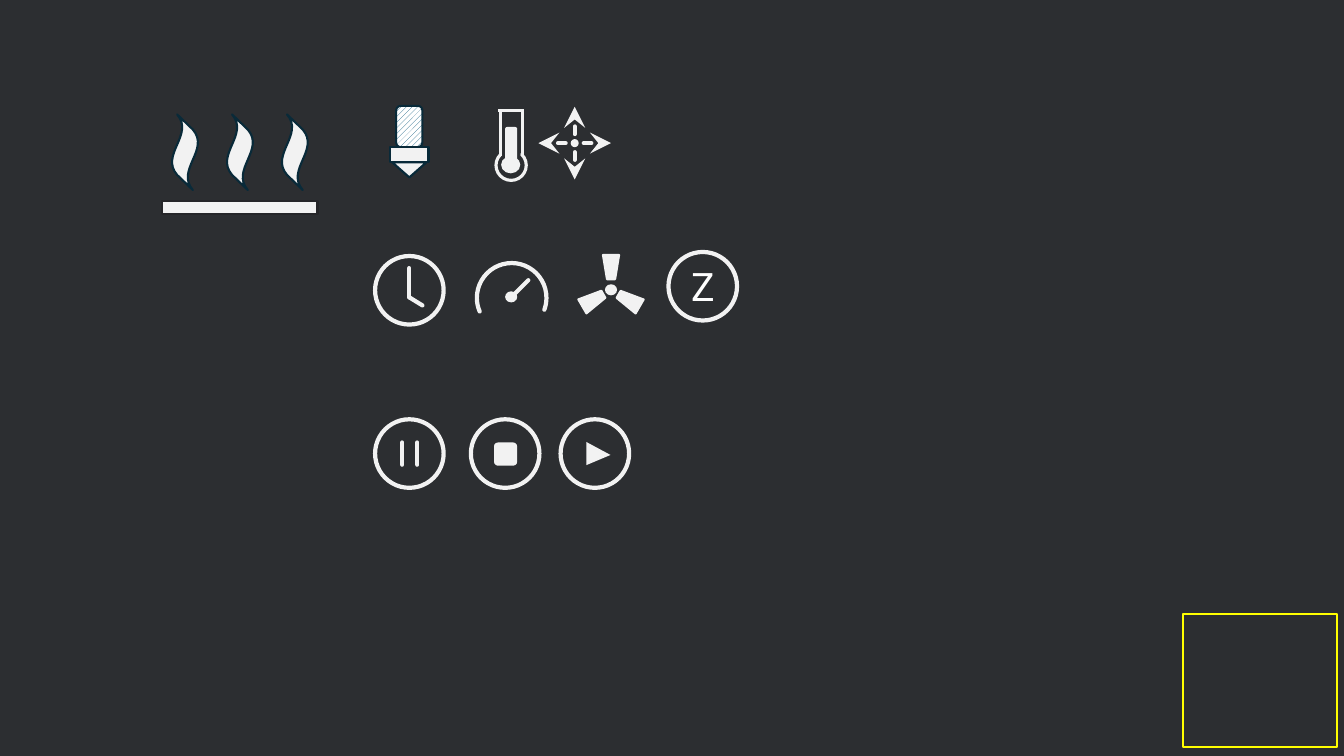
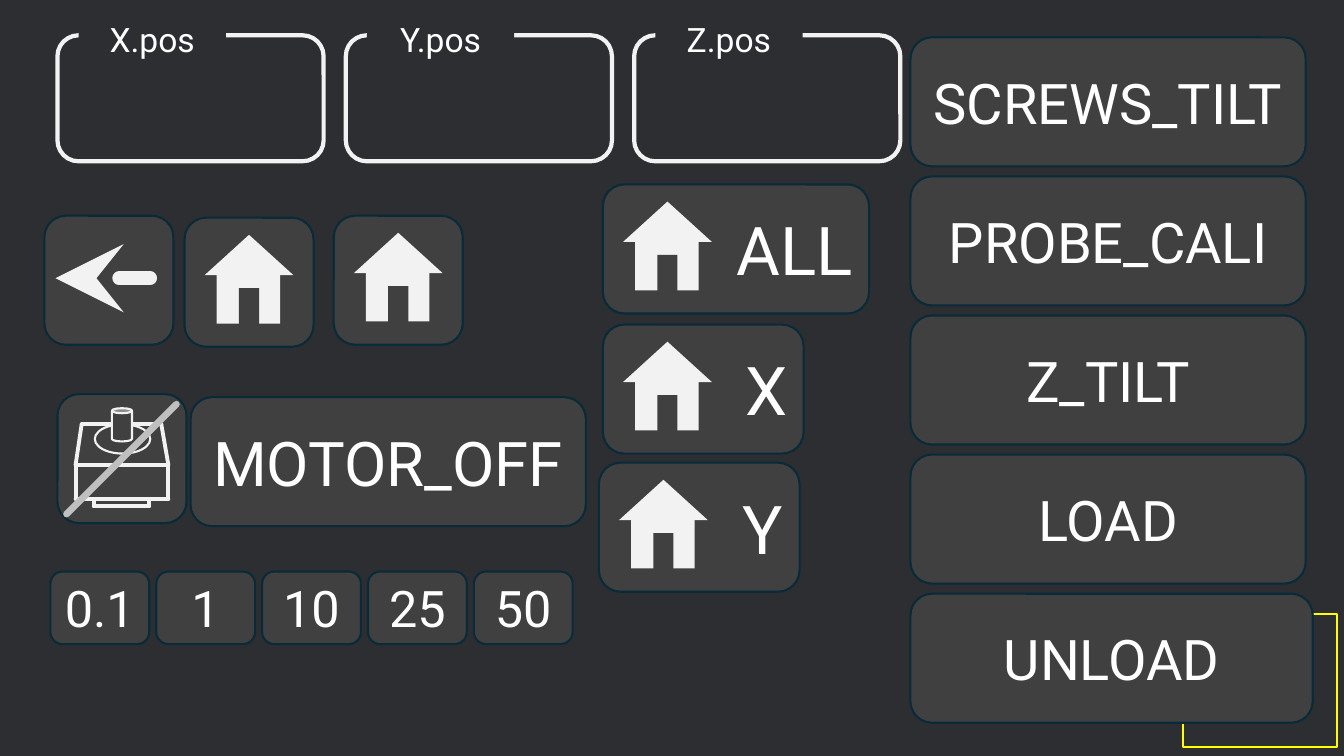
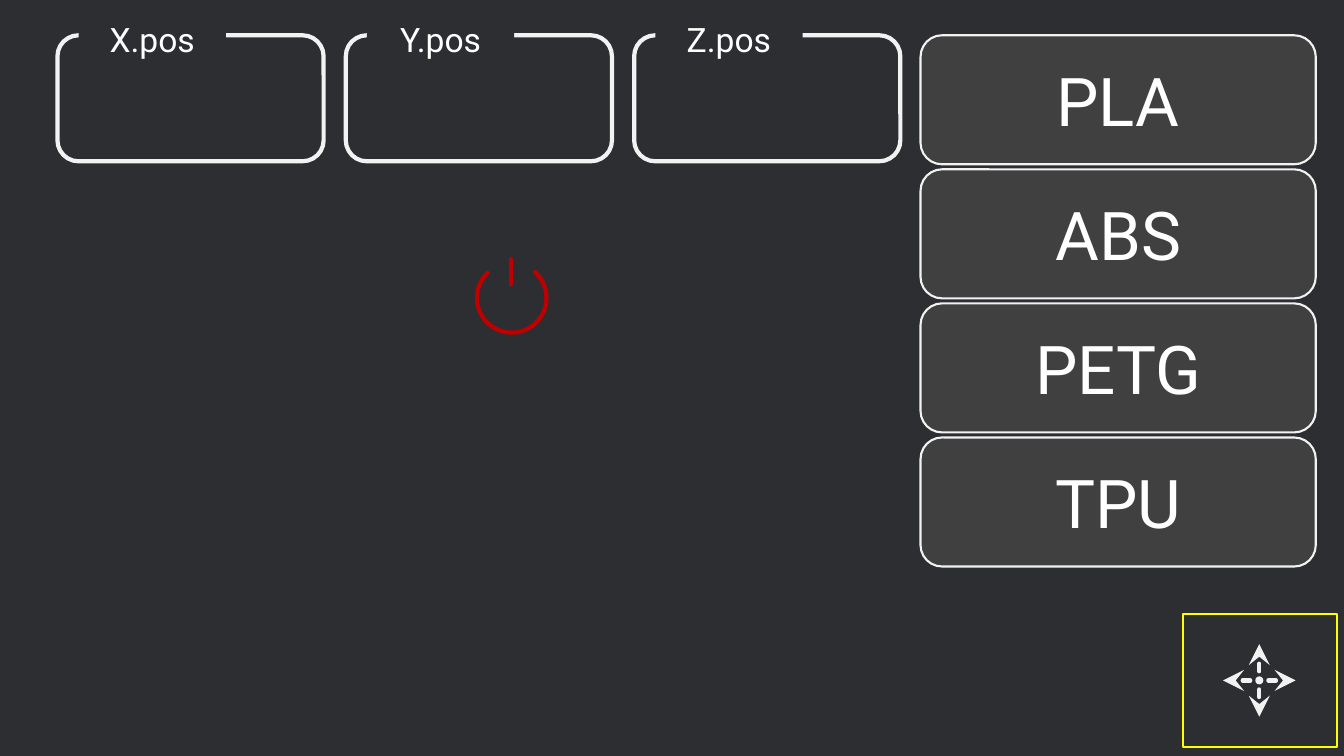
from itertools import pairwise

from lxml import etree
from pptx import Presentation
from pptx import util as u
from pptx.dml.color import RGBColor
from pptx.enum import dml, shapes, text
from pptx.oxml.ns import qn

INK, BACK, CARD, EDGE = "F2F2F2", "2C2E31", "404040", "092A39"
WHITE, FRAME, POWER, SLASH = "FFFFFF", "FFFF00", "C00000", "BFBFBF"
FONT = "Roboto"
G = shapes.MSO_SHAPE
A = text.PP_ALIGN

AXES = ["X.pos", "Y.pos", "Z.pos"]
STEPS = ["0.1", "1", "10", "25", "50"]
MACROS = ["SCREWS_TILT", "PROBE_CALI", "Z_TILT", "LOAD", "UNLOAD"]
MATERIALS = ["PLA", "ABS", "PETG", "TPU"]
# left, top, width, label
HOMES = [
    (1.83, 2.16, 1.28, ""),
    (3.31, 2.14, 1.28, ""),
    (5.98, 1.83, 2.64, "ALL"),
    (5.98, 3.22, 1.99, "X"),
    (5.94, 4.59, 1.99, "Y"),
]
CARD_H, WIDE = 1.28, 3.92
RING = 0.68


def rgb(colour):
    return RGBColor.from_string(colour)


def outline(item, colour, width, round_cap=False):
    item.line.color.rgb = rgb(colour)
    item.line.width = u.Pt(width)
    if round_cap:
        item.line._get_or_add_ln().set("cap", "rnd")


def draw(canvas, kind, box, fill=None, edge=None, width=1.5, rot=0, adj=()):
    part = canvas.add_shape(kind, *(u.Inches(v) for v in box))
    part.shadow.inherit = False
    part.rotation = rot
    for i, value in enumerate(adj):
        part.adjustments[i] = value
    if fill:
        part.fill.solid()
        part.fill.fore_color.rgb = rgb(fill)
    else:
        part.fill.background()
    if edge:
        outline(part, edge, width, kind == G.ARC)
    else:
        part.line.fill.background()
    return part


def label(part, words, size, align=A.CENTER):
    frame = part.text_frame
    frame.word_wrap = True
    frame.vertical_anchor = text.MSO_ANCHOR.MIDDLE
    paragraph = frame.paragraphs[0]
    paragraph.alignment = align
    run = paragraph.add_run()
    run.text = words
    run.font.size = u.Pt(size)
    run.font.name = FONT
    run.font.color.rgb = rgb(WHITE)


def stroke(canvas, start, end, colour=INK, width=3, arrow=False, round_cap=True):
    line = canvas.add_connector(
        shapes.MSO_CONNECTOR.STRAIGHT, *(u.Inches(v) for v in (*start, *end)))
    outline(line, colour, width, round_cap)
    if arrow:
        etree.SubElement(line.line._get_or_add_ln(), qn("a:tailEnd"),
                         type="stealth", w="lg", len="lg")
    etree.SubElement(line._element.spPr, qn("a:effectLst"))


def arc(canvas, box, start, end, colour=INK, width=3):
    """Arc clockwise between two angles in degrees."""
    draw(canvas, G.ARC, box, edge=colour, width=width, adj=(start * 0.6, end * 0.6))


def card(canvas, box, words="", size=40, align=A.CENTER, edge=EDGE):
    part = draw(canvas, G.ROUNDED_RECTANGLE, box, CARD, edge)
    if words:
        label(part, words, size, align)


def ring(canvas, x, y):
    return draw(canvas, G.OVAL, (x, y, RING, RING), edge=INK, width=3)


def group(slide):
    return slide.shapes.add_group_shape().shapes


def new_slide(deck):
    """Blank slide with the yellow frame in its corner."""
    slide = deck.slides.add_slide(deck.slide_layouts[6])
    draw(slide.shapes, G.RECTANGLE, (11.73, 6.09, 1.53, 1.32), BACK, FRAME)
    return slide


def move_icon(slide, cx, cy):
    icon = group(slide)
    for dx, dy in [(0, 1), (-1, 0), (0, -1), (1, 0)]:
        stroke(icon, (cx + 0.09 * dx, cy + 0.09 * dy),
               (cx + 0.36 * dx, cy + 0.36 * dy), arrow=True)
    draw(icon, G.OVAL, (cx - 0.04, cy - 0.04, 0.08, 0.08), INK)


def position_boxes(slide):
    for i, axis in enumerate(AXES):
        x = 0.57 + 2.86 * i
        box = group(slide)
        draw(box, G.ROUNDED_RECTANGLE, (x, 0.35, 2.64, 1.25), edge=INK, width=3)
        name = draw(box, G.ROUNDED_RECTANGLE, (x + 0.21, 0.03, 1.46, 0.71), BACK)
        label(name, axis, 24)


def heat_bed(slide):
    bed = group(slide)
    draw(bed, G.RECTANGLE, (1.61, 1.99, 1.54, 0.13), INK, "262629")
    for i in range(3):
        draw(bed, G.WAVE, (1.46 + 0.545 * i, 1.38, 0.75, 0.26), INK, EDGE,
             rot=270, adj=(0.2, -0.1))


def nozzle(slide):
    icon = group(slide)
    filament = draw(icon, G.ROUNDED_RECTANGLE, (3.93, 1.05, 0.26, 0.41), INK, EDGE)
    filament.fill.patterned()
    filament.fill.pattern = dml.MSO_PATTERN.WIDE_UPWARD_DIAGONAL
    filament.fill.fore_color.rgb = rgb("156082")
    filament.fill.back_color.rgb = rgb(WHITE)
    draw(icon, G.RECTANGLE, (3.87, 1.46, 0.38, 0.15), INK, EDGE)
    draw(icon, G.DOWN_ARROW, (3.89, 1.61, 0.34, 0.15), INK, EDGE, adj=(0.5, 1.21))


def thermometer(slide):
    icon = group(slide)
    for start, end in [((4.96, 1.1), (4.96, 1.55)), ((4.94, 1.1), (5.2, 1.1)),
                       ((5.18, 1.1), (5.18, 1.55))]:
        stroke(icon, start, end, width=2.25, round_cap=False)
    arc(icon, (4.92, 1.49, 0.3, 0.3), 314, 226, width=2.25)
    draw(icon, G.OVAL, (4.97, 1.55, 0.19, 0.17), INK)
    draw(icon, G.ROUNDED_RECTANGLE, (5.01, 1.26, 0.12, 0.33), INK)


def clock(slide):
    icon = group(slide)
    ring(icon, 3.72, 2.54)
    stroke(icon, (4.06, 2.66), (4.06, 2.95))
    stroke(icon, (4.19, 3.03), (4.06, 2.95))


def gauge(slide):
    icon = group(slide)
    arc(icon, (4.73, 2.61, 0.69, 0.69), 157, 20)
    draw(icon, G.OVAL, (5.01, 2.89, 0.12, 0.11), INK)
    stroke(icon, (5.24, 2.78), (5.07, 2.95))


def fan(slide):
    icon = group(slide)
    draw(icon, G.OVAL, (6, 2.82, 0.12, 0.11), INK)
    for x, y, turn in [(5.98, 2.53, 180), (6.16, 2.86, 300), (5.8, 2.86, 60)]:
        draw(icon, G.TRAPEZOID, (x, y, 0.16, 0.24), INK, INK, rot=turn)


def playback(slide):
    y = 4.16
    pause, stop, play = (group(slide) for _ in range(3))
    ring(pause, 3.72, y)
    for x in (3.99, 4.14):
        stroke(pause, (x, 4.39), (x, 4.61))
    ring(stop, 4.67, y)
    draw(stop, G.ROUNDED_RECTANGLE, (4.9, 4.39, 0.23, 0.23), INK)
    ring(play, 5.56, y)
    draw(play, G.ISOSCELES_TRIANGLE, (5.82, 4.38, 0.23, 0.24), INK, rot=90, adj=(0.56,))


def home_button(slide, x, y, width, words):
    button = group(slide)
    card(button, (x, y, width, CARD_H), words, 48, A.RIGHT)
    draw(button, G.ISOSCELES_TRIANGLE, (x + 0.2, y + 0.17, 0.88, 0.4), INK)
    draw(button, G.RECTANGLE, (x + 0.32, y + 0.57, 0.63, 0.48), INK)
    draw(button, G.RECTANGLE, (x + 0.54, y + 0.7, 0.2, 0.44), CARD)


def back_button(slide):
    button = group(slide)
    card(button, (0.44, 2.14, CARD_H, CARD_H))
    stroke(button, (1.49, 2.76), (0.55, 2.76), width=9.75, arrow=True)


def motor_button(slide):
    button = group(slide)
    card(button, (0.57, 3.91, CARD_H, CARD_H))
    top = [(0.75, 4.61), (0.81, 4.21), (1.6, 4.21), (1.67, 4.61)]
    body = [(0.75, 4.61), (1.67, 4.61), (1.67, 4.95), (0.75, 4.95), (0.75, 4.61)]
    foot = [(0.93, 4.96), (0.93, 5.02), (1.48, 5.02), (1.48, 4.96)]
    for outline_points in (top, body, foot):
        for start, end in pairwise(outline_points):
            stroke(button, start, end, width=2.75)
    draw(button, G.OVAL, (0.94, 4.21, 0.55, 0.29), CARD, INK)
    draw(button, G.CAN, (1.11, 4.05, 0.2, 0.33), CARD, INK)
    stroke(button, (1.75, 4.01), (0.66, 5.1), SLASH, 4.75)


def icons_slide(deck):
    slide = new_slide(deck)
    for icon in (heat_bed, nozzle, thermometer, clock, gauge, fan, playback):
        icon(slide)
    move_icon(slide, 5.7, 1.42)
    label(ring(slide.shapes, 6.63, 2.5), "Z", 28)


def controls_slide(deck):
    slide = new_slide(deck)
    back_button(slide)
    for i, step in enumerate(STEPS):
        card(slide.shapes, (0.5 + 1.05 * i, 5.67, 0.98, 0.72), step, 36)
    for home in HOMES:
        home_button(slide, *home)
    position_boxes(slide)
    motor_button(slide)
    card(slide.shapes, (1.89, 3.94, WIDE, CARD_H), "MOTOR_OFF", 44)
    for i, macro in enumerate(MACROS):
        width = 3.99 if macro == "UNLOAD" else WIDE
        card(slide.shapes, (9.03, 0.37 + 1.38 * i, width, CARD_H), macro)


def materials_slide(deck):
    slide = new_slide(deck)
    move_icon(slide, 12.49, 6.75)
    position_boxes(slide)
    switch = group(slide)
    arc(switch, (4.73, 2.61, 0.69, 0.69), 312, 226, POWER)
    stroke(switch, (5.07, 2.82), (5.07, 2.57), POWER)
    for i, material in enumerate(MATERIALS):
        card(slide.shapes, (9.13, 0.35 + 1.33 * i, WIDE, CARD_H), material, 48, edge=INK)


def main():
    deck = Presentation()
    deck.slide_width, deck.slide_height = u.Inches(13.33), u.Inches(7.5)
    backdrop = deck.slide_master.background.fill
    backdrop.solid()
    backdrop.fore_color.rgb = rgb(BACK)
    icons_slide(deck)
    controls_slide(deck)
    materials_slide(deck)
    deck.save("out.pptx")


if __name__ == "__main__":
    main()
